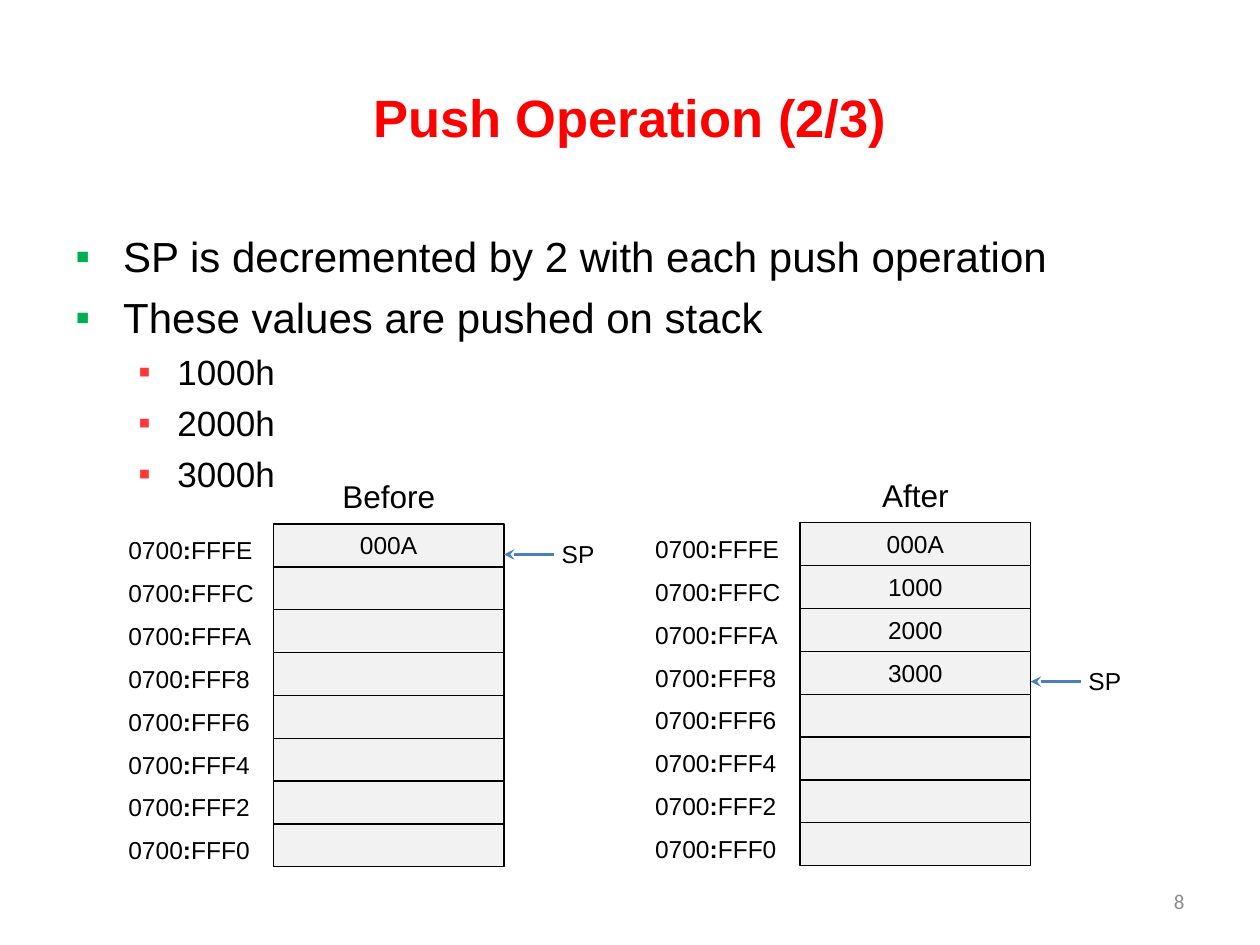
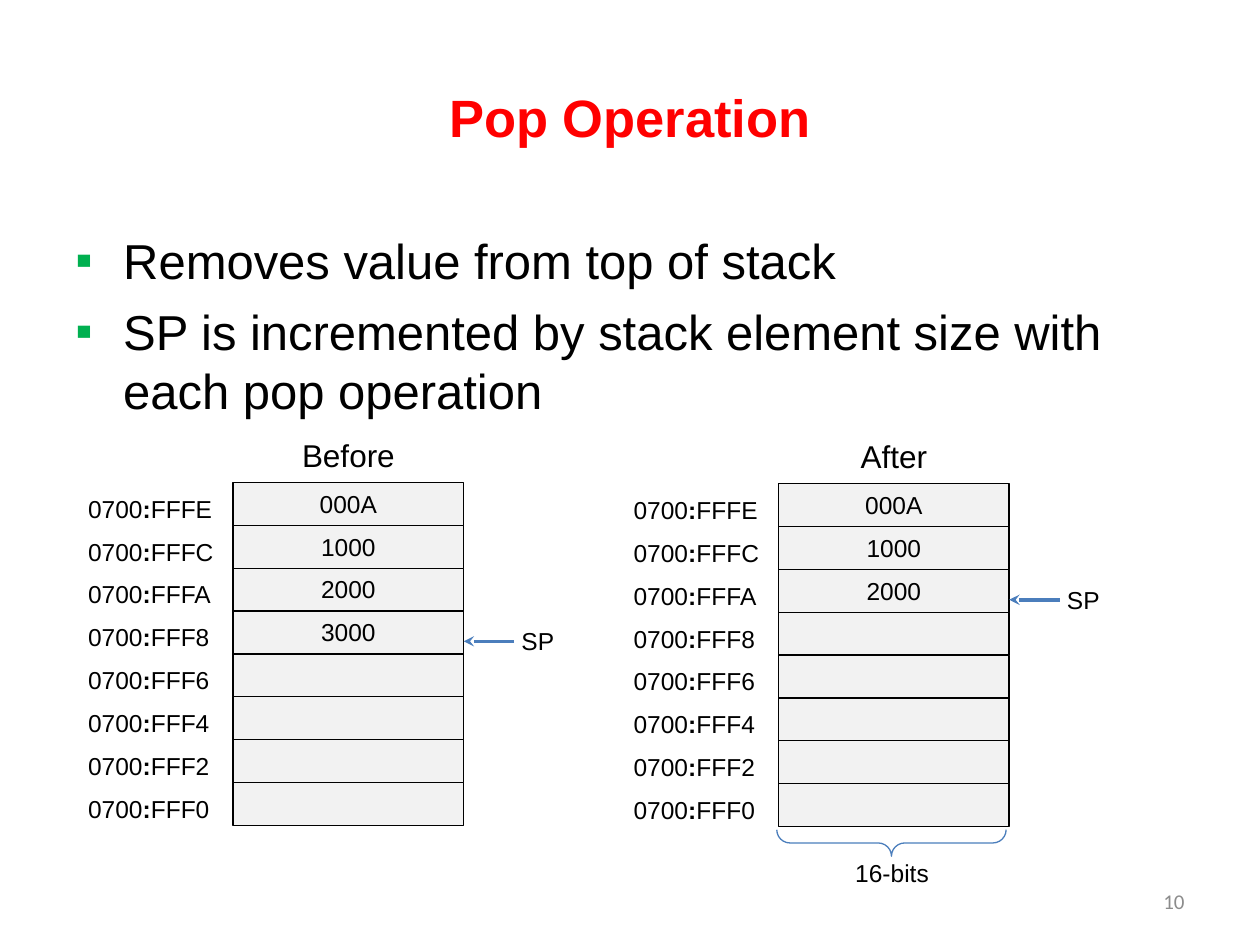
from lxml import etree
from pptx import Presentation
from pptx import util as u
from pptx.dml.color import RGBColor
from pptx.enum import shapes, text
from pptx.oxml import ns

# Shared look
RED = RGBColor(0xFF, 0x00, 0x00)
BLACK = RGBColor(0x00, 0x00, 0x00)
GRAY = RGBColor(0x8C, 0x8C, 0x8C)
CELL_FILL = RGBColor(0xF2, 0xF2, 0xF2)
BLUE = RGBColor(0x4B, 0x7E, 0xBC)
GREEN_BULLET = RGBColor(0x00, 0xB0, 0x50)
RED_BULLET = RGBColor(0xFF, 0x37, 0x37)

# Per outline level: left margin, hanging indent, bullet colour
LEVELS = [(0.38, 0.38, GREEN_BULLET), (0.81, 0.31, RED_BULLET)]

# Stack diagram
OFFSETS = ["FFFE", "FFFC", "FFFA", "FFF8", "FFF6", "FFF4", "FFF2", "FFF0"]
CELL_W = 1.83
ROW_H = 0.34
LABEL_W = 1.25

LEFT, CENTER, RIGHT = text.PP_ALIGN.LEFT, text.PP_ALIGN.CENTER, text.PP_ALIGN.RIGHT


def style(font, size, color=BLACK, bold=False, name="Arial"):
    font.name = name
    font.size = u.Pt(size)
    font.bold = bold
    font.color.rgb = color


def add_text(page, words, left, top, width, height, size=14, align=LEFT,
             middle=False, wrap=True, **look):
    box = page.shapes.add_textbox(*map(u.Inches, (left, top, width, height)))
    frame = box.text_frame
    frame.word_wrap = wrap
    if middle:
        frame.vertical_anchor = text.MSO_ANCHOR.MIDDLE
    frame.text = words
    para = frame.paragraphs[0]
    para.alignment = align
    for span in para.runs:
        style(span.font, size, **look)
    return box


def add_centered(page, words, center, top, width, height=ROW_H, size=14):
    add_text(page, words, center - width / 2, top, width, height, size, CENTER, wrap=False)


def add_page(deck, title, number):
    page = deck.slides.add_slide(deck.slide_layouts[6])
    add_text(page, title, 0.5, 0.3, 9, 1.25, 30, CENTER, True, color=RED, bold=True)
    add_text(page, number, 7.17, 6.95, 2.33, 0.4, 12, RIGHT, True, color=GRAY, name="Calibri")
    return page


def set_bullet(para, level):
    margin, hang, color = LEVELS[level]
    para.level = level
    props = para._p.get_or_add_pPr()
    props.set("marL", str(u.Inches(margin)))
    props.set("indent", str(-u.Inches(hang)))
    tint = etree.SubElement(props, ns.qn("a:buClr"))
    etree.SubElement(tint, ns.qn("a:srgbClr"), val=str(color))
    etree.SubElement(props, ns.qn("a:buFont"), typeface="Arial")
    etree.SubElement(props, ns.qn("a:buChar"), char="▪")


def add_bullets(page, items):
    """Each item is (level, size, words)."""
    box = page.shapes.add_textbox(*map(u.Inches, (0.5, 1.75, 9, 4.95)))
    frame = box.text_frame
    frame.word_wrap = True
    frame.margin_top = u.Inches(0.08)
    frame.text = "\n".join(words for _, _, words in items)
    for index, (para, (level, size, _)) in enumerate(zip(frame.paragraphs, items)):
        set_bullet(para, level)
        if index:
            para.space_before = u.Pt(size / 4)
        for span in para.runs:
            style(span.font, size)


def add_cell(page, left, top):
    cell = page.shapes.add_shape(shapes.MSO_SHAPE.RECTANGLE,
                                 *map(u.Inches, (left, top, CELL_W, ROW_H)))
    cell.shadow.inherit = False
    cell.fill.solid()
    cell.fill.fore_color.rgb = CELL_FILL
    cell.line.color.rgb = BLACK
    cell.line.width = u.Pt(0.75)


def add_address(page, offset, left, top):
    box = add_text(page, "0700", left, top, LABEL_W, ROW_H)
    para = box.text_frame.paragraphs[0]
    for words, bold in ((":", True), (offset, False)):
        span = para.add_run()
        span.text = words
        style(span.font, 14, bold=bold)


def add_pointer(page, left, top):
    """Arrow from the SP label to the right edge of a stack cell."""
    arrow = page.shapes.add_connector(
        shapes.MSO_CONNECTOR.STRAIGHT,
        *map(u.Inches, (left + 0.4, top + 0.24, left, top + 0.24)))
    arrow.line.color.rgb = BLUE
    arrow.line.width = u.Pt(2)
    etree.SubElement(arrow.line._get_or_add_ln(), ns.qn("a:tailEnd"), type="stealth")
    etree.SubElement(arrow._element.spPr, ns.qn("a:effectLst"))
    add_text(page, "SP", left + 0.36, top + 0.07, 0.46, ROW_H, wrap=False)


def add_stack(page, heading, left, top, values):
    """Stack of words; SP points at the last filled cell."""
    center = left + CELL_W / 2
    add_centered(page, heading, center, top - 0.42, 0.95, 0.4, 18)
    for row, offset in enumerate(OFFSETS):
        row_top = top + row * ROW_H
        add_cell(page, left, row_top)
        add_address(page, offset, left - LABEL_W, row_top + 0.04)
    for row, value in enumerate(values):
        add_centered(page, value, center, top + row * ROW_H, 0.66)
    add_pointer(page, left + CELL_W, top + (len(values) - 1) * ROW_H)


def add_width_brace(page):
    brace = page.shapes.add_shape(shapes.MSO_SHAPE.LEFT_BRACE,
                                  *map(u.Inches, (6.97, 5.78, 0.21, 1.82)))
    brace.rotation = 270
    brace.adjustments[0] = 0.5
    brace.shadow.inherit = False
    brace.fill.background()
    brace.line.color.rgb = BLUE
    brace.line.width = u.Pt(0.75)
    add_centered(page, "16-bits", 7.08, 6.76, 0.79)


def main():
    deck = Presentation()
    deck.slide_width, deck.slide_height = u.Inches(10), u.Inches(7.5)

    # Push
    push = add_page(deck, "Push Operation (2/3)", "8")
    add_stack(push, "Before", 2.17, 4.16, ["000A"])
    add_stack(push, "After", 6.35, 4.15, ["000A", "1000", "2000", "3000"])
    add_bullets(push, [
        (0, 24, "SP is decremented by 2 with each push operation"),
        (0, 24, "These values are pushed on stack"),
        (1, 20, "1000h"),
        (1, 20, "2000h"),
        (1, 20, "3000h"),
    ])

    # Pop
    pop = add_page(deck, "Pop Operation", "10")
    add_bullets(pop, [
        (0, 28, "Removes value from top of stack"),
        (0, 28, "SP is incremented by stack element size with each pop operation"),
    ])
    add_stack(pop, "Before", 1.85, 3.83, ["000A", "1000", "2000", "3000"])
    add_stack(pop, "After", 6.18, 3.84, ["000A", "1000", "2000"])
    add_width_brace(pop)

    deck.save("out.pptx")


if __name__ == "__main__":
    main()
